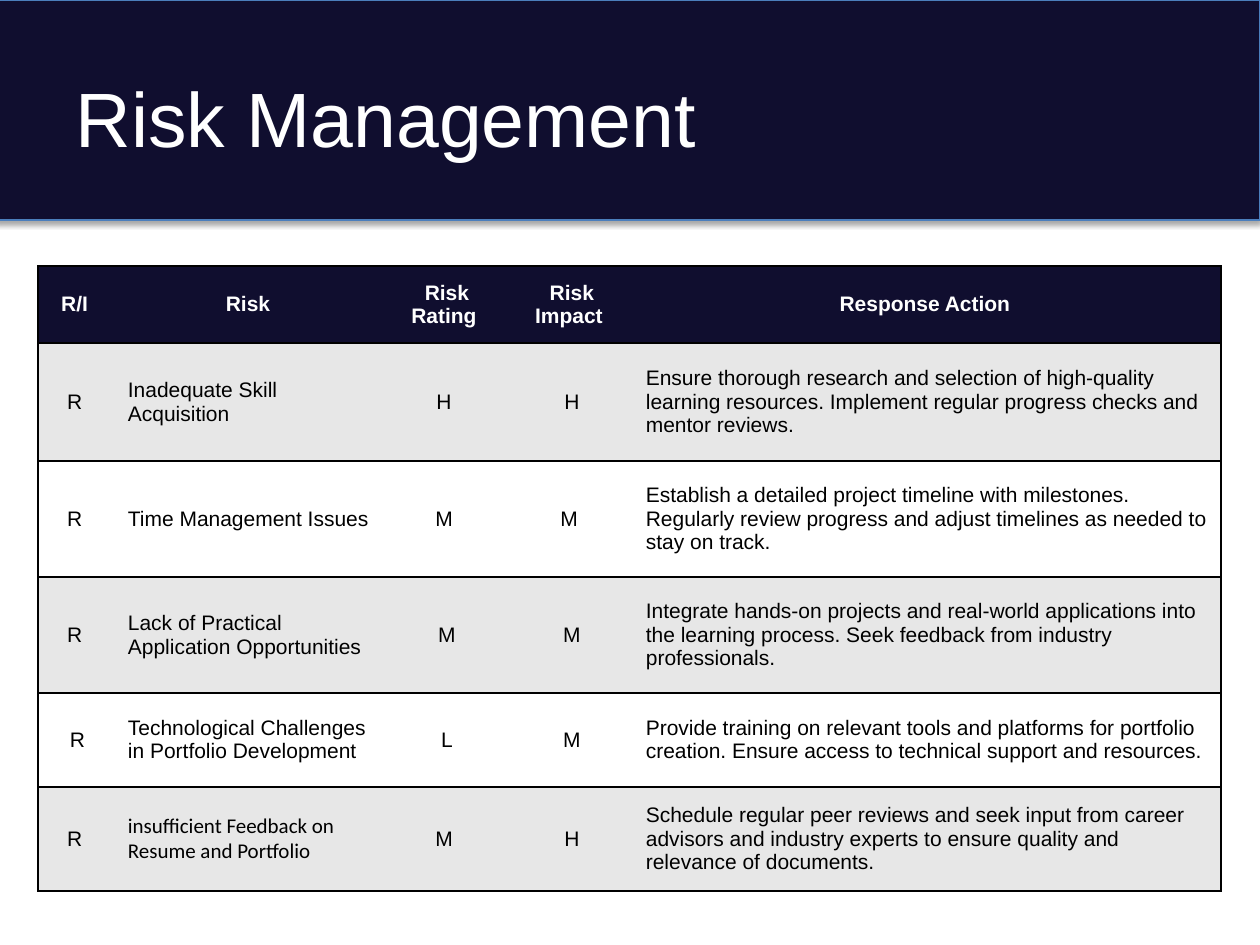
import lxml.etree
import pptx
import pptx.dml.color
import pptx.enum.shapes
import pptx.enum.text
import pptx.oxml
import pptx.oxml.ns
import pptx.util

EMU_PER_PX = 914400 / 126
NAVY, GREY, WHITE, BLACK = "100E2F", "E7E7E7", "FFFFFF", "000000"
CENTER = pptx.enum.text.PP_ALIGN.CENTER
LEFT = pptx.enum.text.PP_ALIGN.LEFT
MIDDLE = pptx.enum.text.MSO_ANCHOR.MIDDLE

COLUMN_WIDTHS = [79, 268, 124, 126, 586]
ROW_HEIGHTS = [77, 118, 116, 116, 94, 104]
LEFT_COLUMNS = {1, 4}
RISKS = [
    ["R/I ", "Risk ", "Risk Rating ", "Risk Impact ", "Response Action "],
    ["R ", "Inadequate Skill Acquisition", "H ", "H",
     "Ensure thorough research and selection of high-quality learning resources. "
     "Implement regular progress checks and mentor reviews."],
    ["R ", "Time Management Issues", "M ", "M ",
     "Establish a detailed project timeline with milestones. Regularly review "
     "progress and adjust timelines as needed to stay on track."],
    ["R ", "Lack of Practical Application Opportunities", "M", "M",
     "Integrate hands-on projects and real-world applications into the learning "
     "process. Seek feedback from industry professionals. "],
    ["R", "Technological Challenges in Portfolio Development", "L", "M",
     "Provide training on relevant tools and platforms for portfolio creation. "
     "Ensure access to technical support and resources."],
    ["R ", "insufficient Feedback on Resume and Portfolio", "M ", "H",
     "Schedule regular peer reviews and seek input from career advisors and "
     "industry experts to ensure quality and relevance of documents."],
]
CALIBRI_CELL = (5, 1)


def px(value):
    return pptx.util.Emu(round(value * EMU_PER_PX))


def color(value):
    return pptx.dml.color.RGBColor.from_string(value)


class SlideBuilder:
    """Holds the text style and the slide being built."""

    def __init__(self, slide, font="Arial"):
        self.slide = slide
        self.font = font

    def style(self, paragraph, size, text_color, bold=False, align=LEFT, font=None):
        paragraph.alignment = align
        paragraph.font.name = font or self.font
        paragraph.font.size = pptx.util.Pt(size)
        paragraph.font.bold = bold
        paragraph.font.color.rgb = color(text_color)

    def title(self, text, left, top, width, height):
        title = self.slide.shapes.title
        title.left, title.top, title.width, title.height = map(px, (left, top, width, height))
        title.text_frame.text = text
        title.text_frame.vertical_anchor = MIDDLE
        self.style(title.text_frame.paragraphs[0], 44, WHITE)

    def band(self, left, top, width, height):
        """Header bar with a soft shadow, placed behind the title."""
        band = self.slide.shapes.add_shape(
            pptx.enum.shapes.MSO_SHAPE.RECTANGLE, *map(px, (left, top, width, height)))
        band.fill.solid()
        band.fill.fore_color.rgb = color(NAVY)
        band.line.color.rgb = color("4B7EBC")
        band.line.width = pptx.util.Pt(0.75)
        band.shadow.inherit = False
        effects = band.element.spPr.find(pptx.oxml.ns.qn("a:effectLst"))
        effects.append(pptx.oxml.parse_xml(
            f'<a:outerShdw {pptx.oxml.ns.nsdecls("a")} blurRad="40000" dist="23000" '
            f'dir="5400000" rotWithShape="0"><a:srgbClr val="{BLACK}">'
            '<a:alpha val="35000"/></a:srgbClr></a:outerShdw>'))
        self.slide.shapes.title.element.addprevious(band.element)

    def borders(self, cell, visible):
        """Draw the visible sides in black and hide the others."""
        properties = cell._tc.get_or_add_tcPr()
        for side in "LRTB":
            line = lxml.etree.SubElement(
                properties, pptx.oxml.ns.qn(f"a:ln{side}"), w=str(pptx.util.Pt(1)))
            if side in visible:
                fill = lxml.etree.SubElement(line, pptx.oxml.ns.qn("a:solidFill"))
                lxml.etree.SubElement(fill, pptx.oxml.ns.qn("a:srgbClr"), val=BLACK)
            else:
                lxml.etree.SubElement(line, pptx.oxml.ns.qn("a:noFill"))

    def cell(self, cell, text, fill, visible, **style):
        self.borders(cell, visible)
        cell.fill.solid()
        cell.fill.fore_color.rgb = color(fill)
        cell.vertical_anchor = MIDDLE
        cell.margin_left = cell.margin_right = px(11)
        cell.margin_top = cell.margin_bottom = px(5)
        cell.text = text
        self.style(cell.text_frame.paragraphs[0], 12, **style)

    def table(self, rows, left, top, widths, heights):
        table = self.slide.shapes.add_table(
            len(rows), len(widths), px(left), px(top),
            px(sum(widths)), px(sum(heights))).table
        table.horz_banding = False
        for column, width in zip(table.columns, widths):
            column.width = px(width)
        for row, height in zip(table.rows, heights):
            row.height = px(height)
        last = len(widths) - 1
        for i, texts in enumerate(rows):
            header = i == 0
            fill = NAVY if header else GREY if i % 2 else WHITE
            for j, text in enumerate(texts):
                visible = "TB" + ("L" if j == 0 else "R" if j == last else "")
                self.cell(
                    table.cell(i, j), text, fill, visible,
                    text_color=WHITE if header else BLACK, bold=header,
                    align=LEFT if j in LEFT_COLUMNS and not header else CENTER,
                    font="Calibri" if (i, j) == CALIBRI_CELL else None)


def main():
    presentation = pptx.Presentation()
    presentation.slide_width, presentation.slide_height = px(1260), px(945)
    title_only = presentation.slide_layouts[5]
    builder = SlideBuilder(presentation.slides.add_slide(title_only))

    # Header
    builder.band(-5, 0, 1265, 220)
    builder.title("Risk Management", 63, 38, 1134, 157)

    # Risk register
    builder.table(RISKS, 38, 266, COLUMN_WIDTHS, ROW_HEIGHTS)

    presentation.save("out.pptx")


if __name__ == "__main__":
    main()
